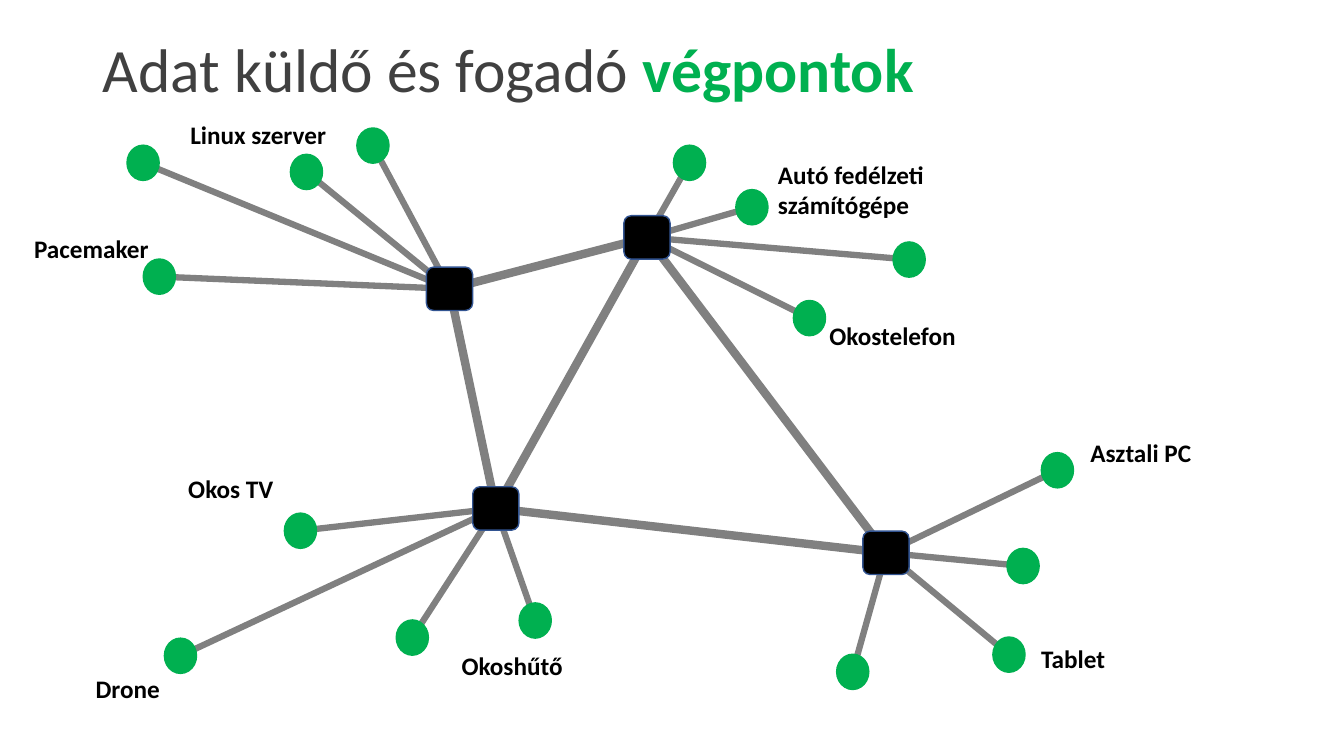
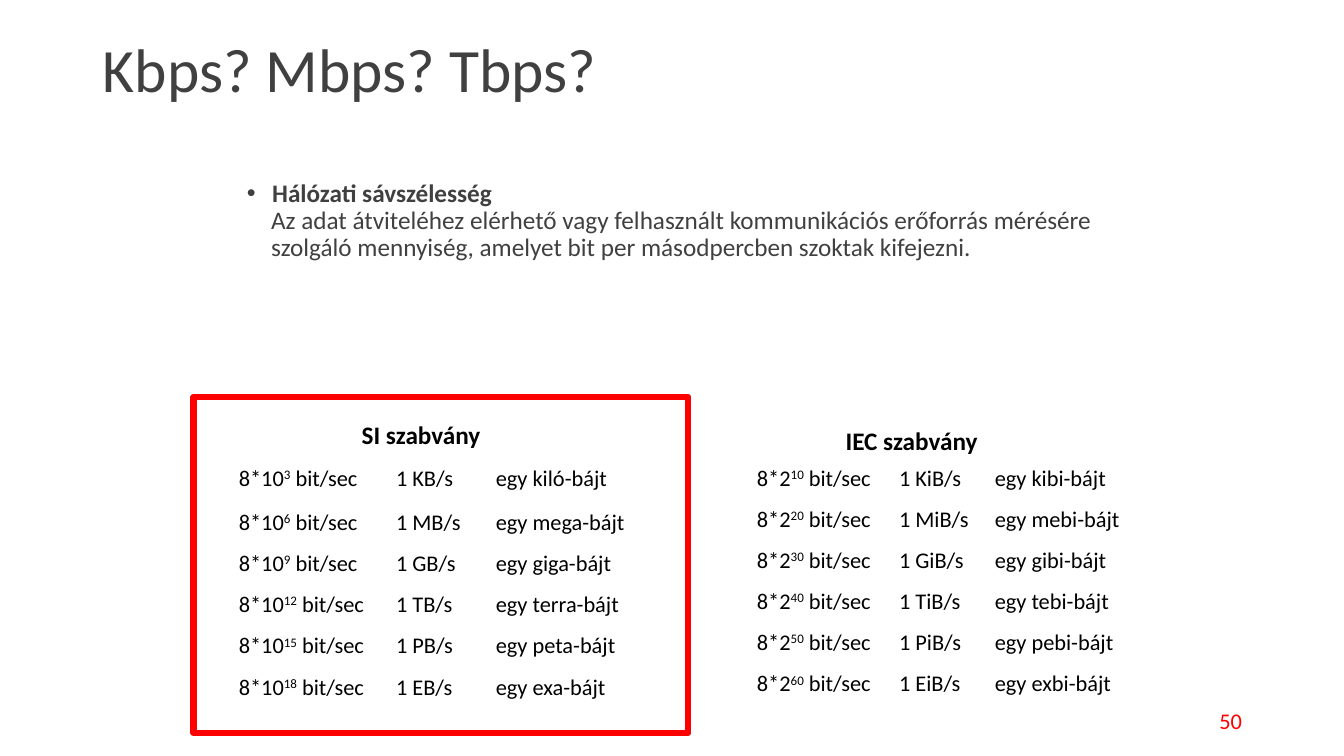
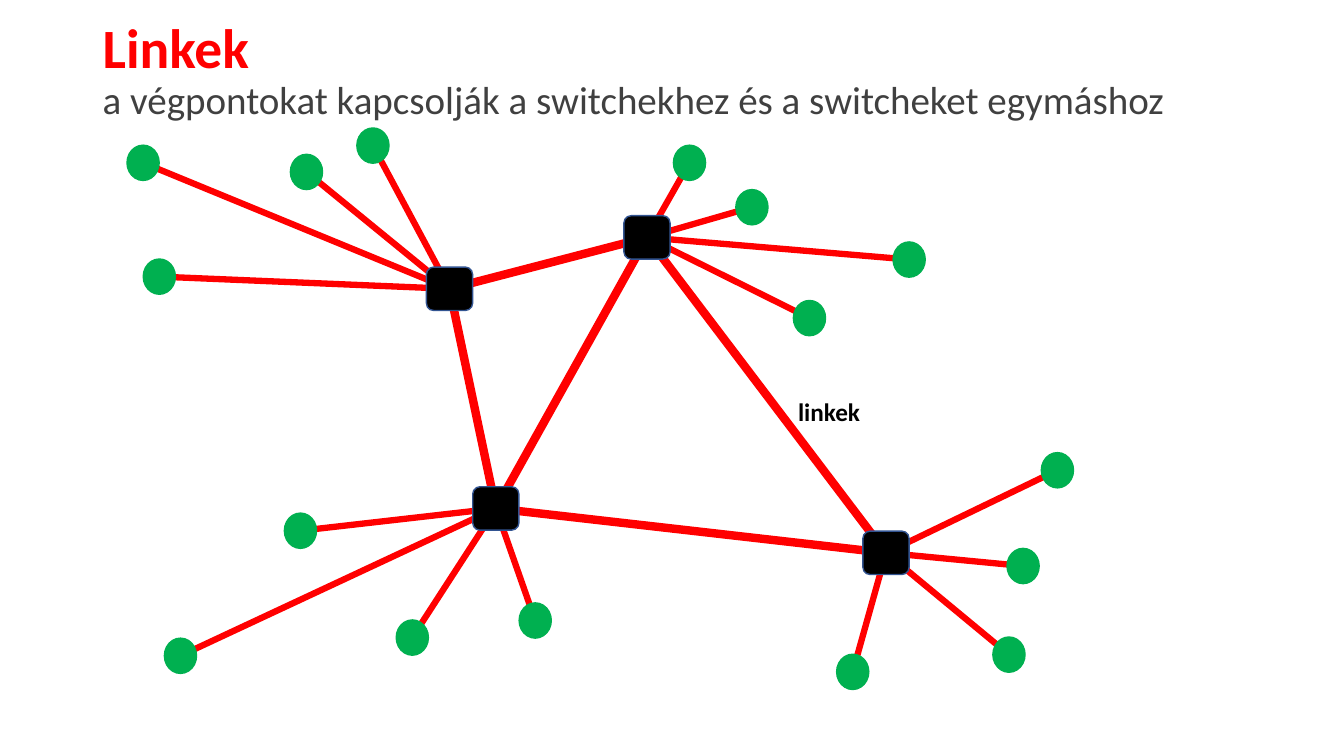
"""Build three slides on network endpoints, bandwidth units and links."""
from lxml.etree import SubElement
from pptx import Presentation
from pptx.dml.color import RGBColor
from pptx.enum.shapes import MSO_CONNECTOR, MSO_SHAPE
from pptx.enum.text import MSO_ANCHOR, MSO_AUTO_SIZE, PP_ALIGN
from pptx.oxml.ns import qn
from pptx.util import Pt

FONT = "Calibri"
BLACK = RGBColor(0x00, 0x00, 0x00)
INK = RGBColor(0x40, 0x40, 0x40)
GREY = RGBColor(0x80, 0x80, 0x80)
GREEN = RGBColor(0x00, 0xB0, 0x50)
RED = RGBColor(0xFF, 0x00, 0x00)
NAVY = RGBColor(0x32, 0x54, 0x91)

TITLE = {"size": Pt(44), "color": INK}
ACCENT = {"size": Pt(44), "color": GREEN, "bold": True}
LINKS_HEAD = {"size": Pt(39.6), "color": RED, "bold": True}
LINKS_SUB = {"size": Pt(27.9), "color": INK}
BODY = {"size": Pt(18), "color": INK}
LABEL = {"size": Pt(18), "color": BLACK, "bold": True}
CELL = {"size": Pt(16), "color": BLACK}
NUMBER = {"size": Pt(16), "color": RED}

TITLE_BOX = (66.2, -0.7, 828, 104.4)
BODY_BOX = (169.2, 125.3, 620.6, 170.6)
FRAME_BOX = (138.2, 283.7, 353.5, 239.8)
NUMBER_BOX = (678.2, 500.4, 216, 28.8)
LABEL_SIZE = (149, 28.8)
SWITCH_SIZE = (33, 31)
ENDPOINT_SIZE = (23, 25.2)

SWITCHES = {
    "nw": (321.1, 206.3),
    "ne": (462.2, 169.6),
    "sw": (354.2, 363.2),
    "se": (632.9, 394.9),
}
TRUNKS = [("nw", "ne"), ("nw", "sw"), ("sw", "ne"), ("sw", "se"), ("ne", "se")]
ENDPOINTS = {
    "nw": [(102.2, 116.3), (113.8, 197.6), (218.9, 122.8), (266.4, 104)],
    "ne": [(492.5, 116.3), (537.1, 148), (649.4, 185.4), (578.2, 227.2)],
    "sw": [(214.6, 379.1), (128.9, 468.4), (294.5, 455.4), (382.3, 443.2)],
    "se": [(609.1, 479.9), (720.7, 467.6), (730.8, 404.3), (755.3, 335.9)],
}
ENDPOINT_LABELS = [
    ("Autó fedélzeti számítógépe", 548.6, 110.2),
    ("Pacemaker", 17.3, 163.4),
    ("Okostelefon", 585.4, 225.4),
    ("Asztali PC", 771.8, 308.9),
    ("Tablet", 736.6, 455.8),
    ("Okoshűtő", 322.6, 460.8),
    ("Okos TV", 127.4, 334.8),
    ("Linux szerver", 128.9, 81.4),
    ("Drone", 61.2, 477.4),
]
LINK_LABELS = [("linkek", 563, 279.4)]

BANDWIDTH = [
    ("Hálózati sávszélesség", True, 18, -18),
    ("Az adat átviteléhez elérhető vagy felhasznált kommunikációs erőforrás mérésére "
     "szolgáló mennyiség, amelyet bit per másodpercben szoktak kifejezni.", False, 17.3, 0),
]
ROW_HEIGHT = 29.4
STANDARDS = [
    {"name": "SI szabvány", "caption": (251.3, 295.9, 100, 28.8), "at": (165.6, 328.3),
     "cols": (112.3, 71.3, 118.8), "first": 31.7, "base": "8*10",
     "rows": [("3", "KB", "kiló"), ("6", "MB", "mega"), ("9", "GB", "giga"),
              ("12", "TB", "terra"), ("15", "PB", "peta"), ("18", "EB", "exa")]},
    {"name": "IEC szabvány", "caption": (596.9, 300.2, 109.4, 28.8), "at": (535.7, 328.3),
     "cols": (101.5, 68.4, 115.2), "first": ROW_HEIGHT, "base": "8*2",
     "rows": [("10", "KiB", "kibi"), ("20", "MiB", "mebi"), ("30", "GiB", "gibi"),
              ("40", "TiB", "tebi"), ("50", "PiB", "pebi"), ("60", "EiB", "exbi")]},
]


def points(values):
    return [Pt(v) for v in values]


def add_run(p, text, style):
    r = p.add_run()
    r.text = text
    r.font.name = FONT
    for name, value in style.items():
        if name == "color":
            r.font.color.rgb = value
        else:
            setattr(r.font, name, value)
    return r


def place(sp, box):
    for name, value in zip(("left", "top", "width", "height"), points(box)):
        setattr(sp, name, value)


def add_slide(prs, layout, title):
    s = prs.slides.add_slide(prs.slide_layouts[layout])
    place(s.shapes.title, TITLE_BOX)
    tf = s.shapes.title.text_frame
    tf.auto_size = MSO_AUTO_SIZE.NONE
    tf.vertical_anchor = MSO_ANCHOR.MIDDLE
    for i, runs in enumerate(title):
        p = tf.add_paragraph() if i else tf.paragraphs[0]
        p.alignment = PP_ALIGN.LEFT
        p.line_spacing = 0.9
        for text, style in runs:
            add_run(p, text, style)
    return s


def add_text(s, box, text, style, wrap=True, align=PP_ALIGN.LEFT):
    tf = s.shapes.add_textbox(*points(box)).text_frame
    tf.word_wrap = wrap
    p = tf.paragraphs[0]
    p.alignment = align
    add_run(p, text, style)
    return tf


def add_node(s, kind, center, size, fill, line):
    (x, y), (w, h) = center, size
    sp = s.shapes.add_shape(kind, *points((x - w / 2, y - h / 2, w, h)))
    sp.shadow.inherit = False
    sp.fill.solid()
    sp.fill.fore_color.rgb = fill
    sp.line.color.rgb = line
    sp.line.width = Pt(1)


def add_link(s, start, end, color, width):
    sp = s.shapes.add_connector(MSO_CONNECTOR.STRAIGHT, *points(start + end))
    sp.line.color.rgb = color
    sp.line.width = Pt(width)
    SubElement(sp._element.spPr, qn("a:effectLst"))


def add_network(s, color, labels):
    for a, b in TRUNKS:
        add_link(s, SWITCHES[a], SWITCHES[b], color, 6)
    for name, ends in ENDPOINTS.items():
        for end in ends:
            add_link(s, SWITCHES[name], end, color, 4.5)
    for center in SWITCHES.values():
        add_node(s, MSO_SHAPE.ROUNDED_RECTANGLE, center, SWITCH_SIZE, BLACK, NAVY)
    for ends in ENDPOINTS.values():
        for center in ends:
            add_node(s, MSO_SHAPE.OVAL, center, ENDPOINT_SIZE, GREEN, GREEN)
    for text, x, y in labels:
        add_text(s, (x, y, *LABEL_SIZE), text, LABEL)


def add_body(s):
    sp = s.placeholders[1]
    place(sp, BODY_BOX)
    tf = sp.text_frame
    tf.auto_size = MSO_AUTO_SIZE.NONE
    for i, (text, bullet, margin, indent) in enumerate(BANDWIDTH):
        p = tf.add_paragraph() if i else tf.paragraphs[0]
        p.line_spacing = 0.9
        p.space_before = Pt(0)
        pPr = p._p.get_or_add_pPr()
        pPr.set("marL", str(Pt(margin)))
        pPr.set("indent", str(Pt(indent)))
        if bullet:
            SubElement(pPr, qn("a:buFont"), typeface="Arial")
            SubElement(pPr, qn("a:buChar"), char="•")
        else:
            SubElement(pPr, qn("a:buNone"))
        add_run(p, text, {**BODY, "bold": bullet})


def add_standard(s, std):
    add_text(s, std["caption"], std["name"], LABEL, wrap=False)
    heights = [std["first"]] + [ROW_HEIGHT] * (len(std["rows"]) - 1)
    box = (*std["at"], sum(std["cols"]), sum(heights))
    table = s.shapes.add_table(len(heights), len(std["cols"]), *points(box)).table
    table.first_row = table.horz_banding = False
    for col, width in zip(table.columns, std["cols"]):
        col.width = Pt(width)
    for row, height, (power, unit, prefix) in zip(table.rows, heights, std["rows"]):
        row.height = Pt(height)
        texts = [(std["base"], power, " bit/sec"), (f"1 {unit}/s",), (f"egy {prefix}-bájt",)]
        for cell, parts in zip(row.cells, texts):
            cell.fill.background()
            cell.margin_left = cell.margin_right = Pt(5)
            for i, text in enumerate(parts):
                r = add_run(cell.text_frame.paragraphs[0], text, CELL)
                if i == 1:
                    r._r.get_or_add_rPr().set("baseline", "30000")


def main():
    prs = Presentation()
    prs.slide_width, prs.slide_height = Pt(960), Pt(540)

    s = add_slide(prs, 5, [[("Adat küldő és fogadó ", TITLE), ("végpontok", ACCENT)]])
    add_network(s, GREY, ENDPOINT_LABELS)

    s = add_slide(prs, 1, [[("Kbps? Mbps? Tbps?", TITLE)]])
    add_body(s)
    for std in STANDARDS:
        add_standard(s, std)
    tf = add_text(s, NUMBER_BOX, "50", NUMBER, align=PP_ALIGN.RIGHT)
    tf.vertical_anchor = MSO_ANCHOR.MIDDLE
    frame = s.shapes.add_shape(MSO_SHAPE.RECTANGLE, *points(FRAME_BOX))
    frame.shadow.inherit = False
    frame.fill.background()
    frame.line.color.rgb = RED
    frame.line.width = Pt(4.5)

    s = add_slide(prs, 5, [
        [("Linkek", LINKS_HEAD)],
        [("a végpontokat kapcsolják a switchekhez és a switcheket egymáshoz", LINKS_SUB)],
    ])
    add_network(s, RED, LINK_LABELS)

    prs.save("out.pptx")


if __name__ == "__main__":
    main()
